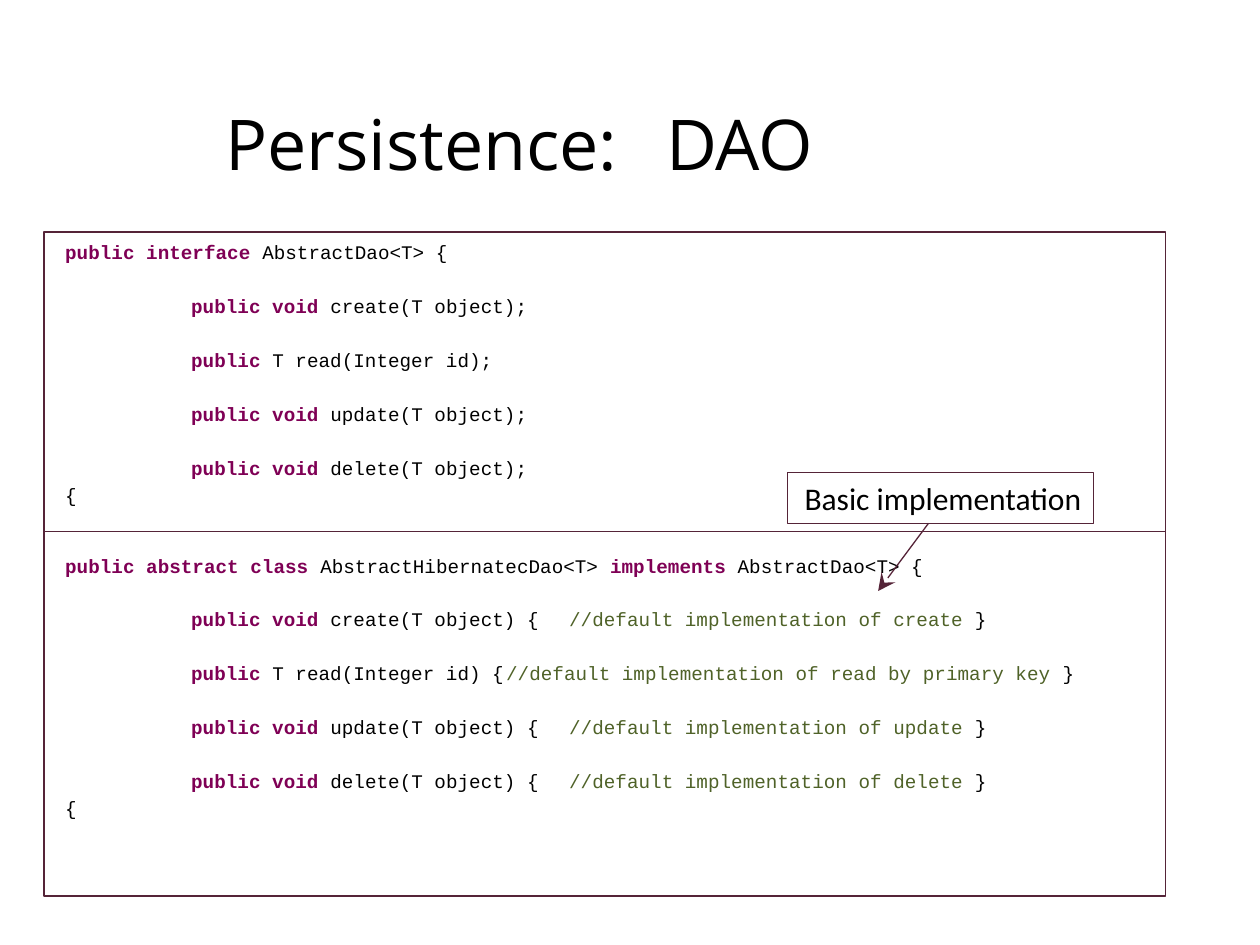
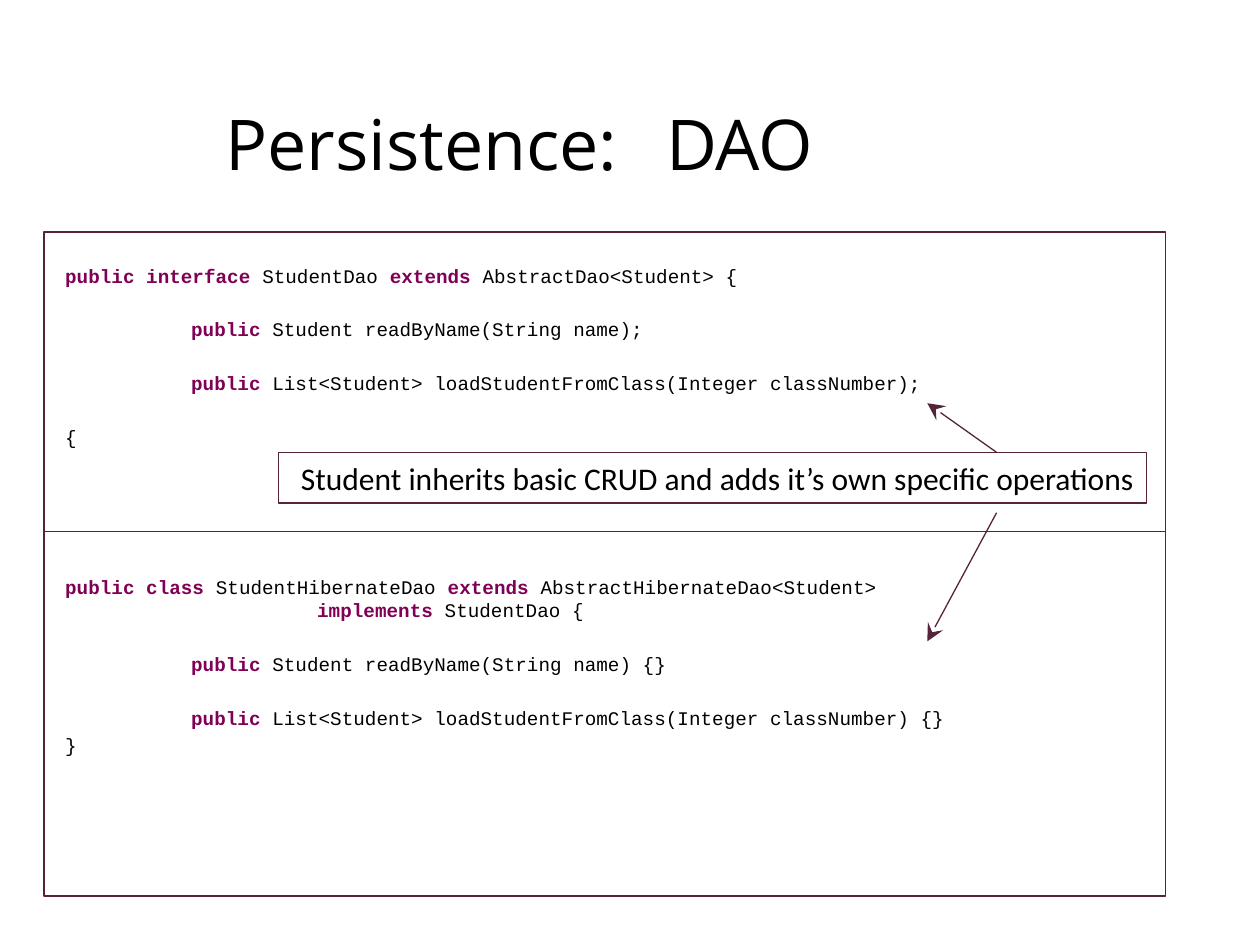
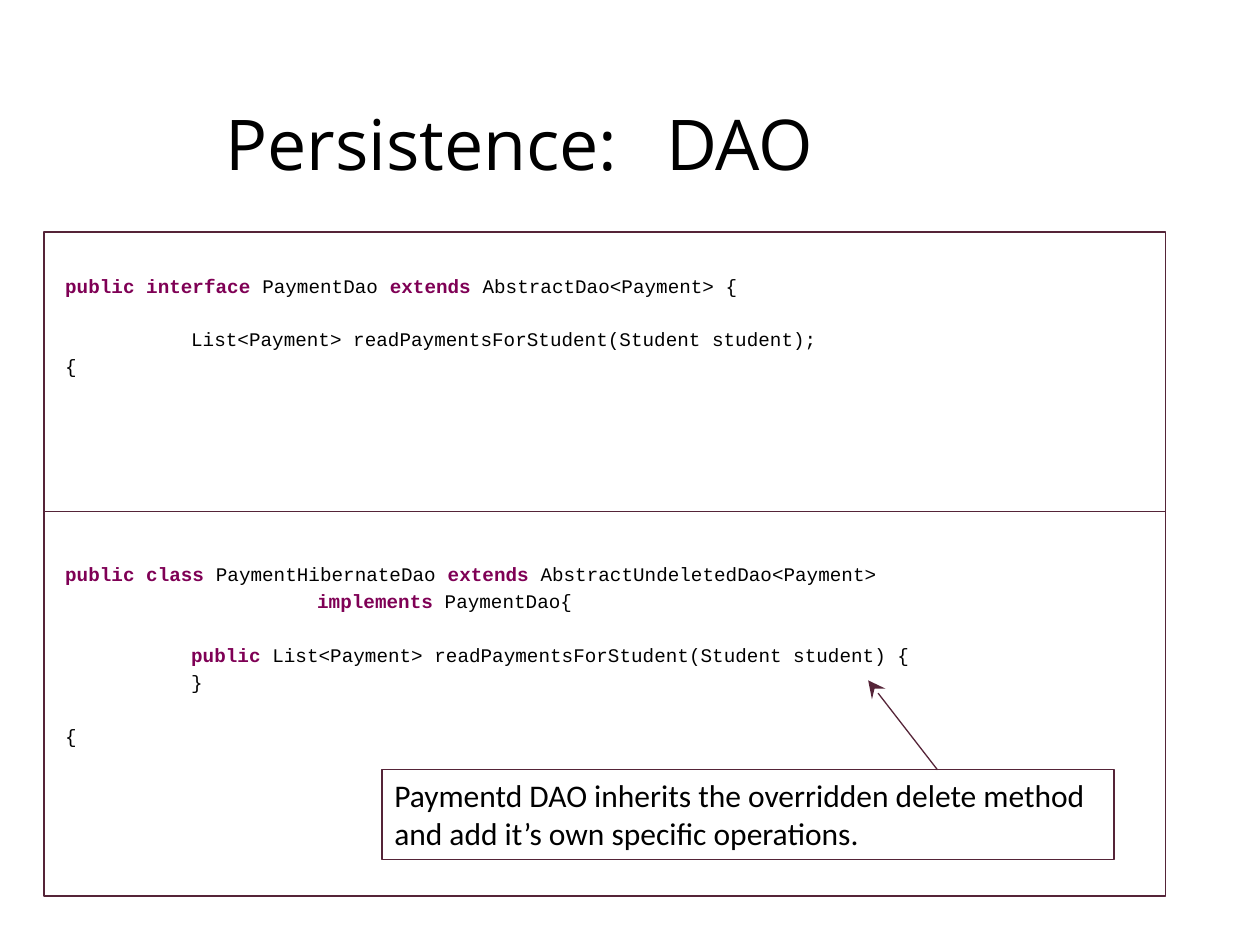
from collections import namedtuple
from itertools import groupby

from lxml import etree
from pptx import Presentation
from pptx.dml.color import RGBColor
from pptx.enum import shapes, text
from pptx.oxml import ns
from pptx.util import Pt

BLACK = RGBColor(0x00, 0x00, 0x00)
WHITE = RGBColor(0xFF, 0xFF, 0xFF)
PLUM = RGBColor(0x55, 0x24, 0x38)
KEYWORD = RGBColor(0x7F, 0x00, 0x55)
COMMENT = RGBColor(0x4F, 0x62, 0x28)

Box = namedtuple("Box", "left top width height")
Line = namedtuple("Line", "space_before level code")
Listing = namedtuple("Listing", "top lines")
Callout = namedtuple("Callout", "box alignment words arrows")
Page = namedtuple("Page", "divider interface implementation callout")

TITLE_BOX = Box(121.7, 36, 640.8, 90.7)
PANEL_BOX = Box(25.2, 132.5, 640.8, 379.4)
CODE_INDENT = 5
TAB = 72
WRAPPED, NEXT, APART = 0, 2.2, 17.6
KEYWORDS = {"public", "interface", "abstract", "class", "implements", "extends", "void"}

TITLE_FONT = {"name": "Open Sans", "size": Pt(40), "bold": False}
CODE_FONT = {"name": "Courier New", "size": Pt(11)}
CALLOUT_FONT = {"name": "Calibri", "size": Pt(18), "bold": False}
FRAME_FORMAT = {
    "word_wrap": True,
    "margin_left": Pt(7.2), "margin_right": Pt(7.2),
    "margin_top": Pt(3.6), "margin_bottom": Pt(3.6),
}

PAGES = [
    Page(
        171.3,
        Listing(1.5, [
            Line(NEXT, 0, "public interface AbstractDao<T> {"),
            Line(APART, 1, "public void create(T object);"),
            Line(APART, 1, "public T read(Integer id);"),
            Line(APART, 1, "public void update(T object);"),
            Line(APART, 1, "public void delete(T object);"),
            Line(NEXT, 0, "{"),
        ]),
        Listing(180.4, [
            Line(NEXT, 0, "public abstract class AbstractHibernatecDao<T> implements AbstractDao<T> {"),
            Line(APART, 1, "public void create(T object) {\t//default implementation of create }"),
            Line(APART, 1, "public T read(Integer id) {\t//default implementation of read by primary key }"),
            Line(APART, 1, "public void update(T object) {\t//default implementation of update }"),
            Line(APART, 1, "public void delete(T object) {\t//default implementation of delete }"),
            Line(NEXT, 0, "{"),
        ]),
        Callout(Box(450, 270, 175, 29), text.PP_ALIGN.RIGHT, "Basic implementation",
                [((80.6, 29), (51.8, 67.7))]),
    ),
    Page(
        171.3,
        Listing(14.7, [
            Line(NEXT, 0, "public interface StudentDao extends AbstractDao<Student> {"),
            Line(APART, 1, "public Student readByName(String name);"),
            Line(APART, 1, "public List<Student> loadStudentFromClass(Integer classNumber);"),
            Line(APART, 0, "{"),
        ]),
        Listing(192.9, [
            Line(NEXT, 0, "public class StudentHibernateDao extends AbstractHibernateDao<Student>"),
            Line(WRAPPED, 2, "implements StudentDao {"),
            Line(APART, 1, "public Student readByName(String name) {}"),
            Line(APART, 1, "public List<Student> loadStudentFromClass(Integer classNumber) {}"),
            Line(NEXT, 0, "}"),
        ]),
        Callout(Box(159.1, 258.5, 496.1, 29), text.PP_ALIGN.RIGHT,
                "Student inherits basic CRUD and adds it’s own specific operations",
                [((410.4, 0), (370.8, -28.1)), ((410.4, 34.5), (370.8, 108))]),
    ),
    Page(
        159.8,
        Listing(20.4, [
            Line(NEXT, 0, "public interface PaymentDao extends AbstractDao<Payment> {"),
            Line(APART, 1, "List<Payment> readPaymentsForStudent(Student student);"),
            Line(NEXT, 0, "{"),
        ]),
        Listing(185.5, [
            Line(NEXT, 0, "public class PaymentHibernateDao extends AbstractUndeletedDao<Payment>"),
            Line(NEXT, 2, "implements PaymentDao{"),
            Line(APART, 1, "public List<Payment> readPaymentsForStudent(Student student) {"),
            Line(NEXT, 1, "}"),
            Line(APART, 0, "{"),
        ]),
        Callout(Box(218.2, 439.9, 418.3, 51.1), text.PP_ALIGN.LEFT,
                "Paymentd DAO inherits the overridden delete method and add it’s own specific operations.",
                [((317.5, 0), (277.9, -51.1))]),
    ),
]


def apply_format(target, values):
    """Set each named attribute of the target."""
    for name, value in values.items():
        setattr(target, name, value)


def add_run(paragraph, words, font, color):
    """Append one formatted run."""
    run = paragraph.add_run()
    run.text = words
    apply_format(run.font, font)
    run.font.color.rgb = color


def add_text_frame(slide, box):
    """Add a text box and return its frame."""
    frame = slide.shapes.add_textbox(*map(Pt, box)).text_frame
    apply_format(frame, FRAME_FORMAT)
    return frame


def add_rectangle(slide, box, weight, fill=None):
    """Add a plum outlined rectangle, filled or hollow."""
    shape = slide.shapes.add_shape(shapes.MSO_SHAPE.RECTANGLE, *map(Pt, box))
    shape.shadow.inherit = False
    if fill is None:
        shape.fill.background()
    else:
        shape.fill.solid()
        shape.fill.fore_color.rgb = fill
    shape.line.color.rgb = PLUM
    shape.line.width = Pt(weight)
    return shape


def add_line(slide, start, end, arrow=False):
    """Draw a thin plum line, with an optional arrowhead at its end."""
    connector = slide.shapes.add_connector(
        shapes.MSO_CONNECTOR.STRAIGHT, *map(Pt, (*start, *end)))
    connector.line.color.rgb = PLUM
    connector.line.width = Pt(0.75)
    properties = connector._element.spPr
    if arrow:
        outline = properties.find(ns.qn("a:ln"))
        etree.SubElement(outline, ns.qn("a:tailEnd"), type="stealth", w="lg", len="lg")
    etree.SubElement(properties, ns.qn("a:effectLst"))


def add_title(slide, box):
    """Write the shared title."""
    frame = add_text_frame(slide, box)
    frame.vertical_anchor = text.MSO_ANCHOR.MIDDLE
    add_run(frame.paragraphs[0], "Persistence:\tDAO", TITLE_FONT, BLACK)


def add_code_line(paragraph, line):
    """Write one line of code with coloured keywords and comment."""
    apply_format(paragraph, {"space_before": Pt(line.space_before), "line_spacing": Pt(13.2)})
    properties = paragraph._p.get_or_add_pPr()
    properties.set("marL", str(Pt(TAB * line.level)))
    properties.set("indent", "0")
    code, slashes, comment = line.code.partition("//")
    words = code.split(" ")
    spaced = [word + " " for word in words[:-1]] + words[-1:]
    for is_keyword, group in groupby(spaced, lambda word: word.strip() in KEYWORDS):
        add_run(paragraph, "".join(group), {**CODE_FONT, "bold": is_keyword},
                KEYWORD if is_keyword else BLACK)
    if slashes:
        plain = {**CODE_FONT, "bold": False}
        add_run(paragraph, slashes + comment[:-1], plain, COMMENT)
        add_run(paragraph, comment[-1], plain, BLACK)


def add_listing(slide, panel, listing):
    """Place a code listing at its height inside the panel."""
    height = sum(line.space_before + 13.2 for line in listing.lines) + 7.2
    frame = add_text_frame(slide, Box(
        panel.left + CODE_INDENT, panel.top + listing.top, panel.width, height))
    for index, line in enumerate(listing.lines):
        paragraph = frame.add_paragraph() if index else frame.paragraphs[0]
        add_code_line(paragraph, line)


def add_callout(slide, callout):
    """Draw a note and its arrows, placed from the note's corner."""
    box = callout.box
    frame = add_rectangle(slide, box, 0.75).text_frame
    apply_format(frame, {**FRAME_FORMAT, "vertical_anchor": text.MSO_ANCHOR.TOP})
    paragraph = frame.paragraphs[0]
    paragraph.alignment = callout.alignment
    add_run(paragraph, callout.words, CALLOUT_FONT, BLACK)
    for ends in callout.arrows:
        start, end = [(box.left + x, box.top + y) for x, y in ends]
        add_line(slide, start, end, arrow=True)


def add_code_panel(slide, panel, page):
    """Draw the framed panel with its divider and two listings."""
    add_rectangle(slide, panel, 1, WHITE)
    add_listing(slide, panel, page.interface)
    add_listing(slide, panel, page.implementation)
    middle = panel.top + page.divider
    add_line(slide, (panel.left, middle), (panel.left + panel.width, middle))


def main():
    """Build and save the presentation."""
    presentation = Presentation()
    apply_format(presentation, {"slide_width": Pt(720), "slide_height": Pt(540)})
    for page in PAGES:
        slide = presentation.slides.add_slide(presentation.slide_layouts[6])
        add_title(slide, TITLE_BOX)
        add_code_panel(slide, PANEL_BOX, page)
        add_callout(slide, page.callout)
    presentation.save("out.pptx")


if __name__ == "__main__":
    main()
